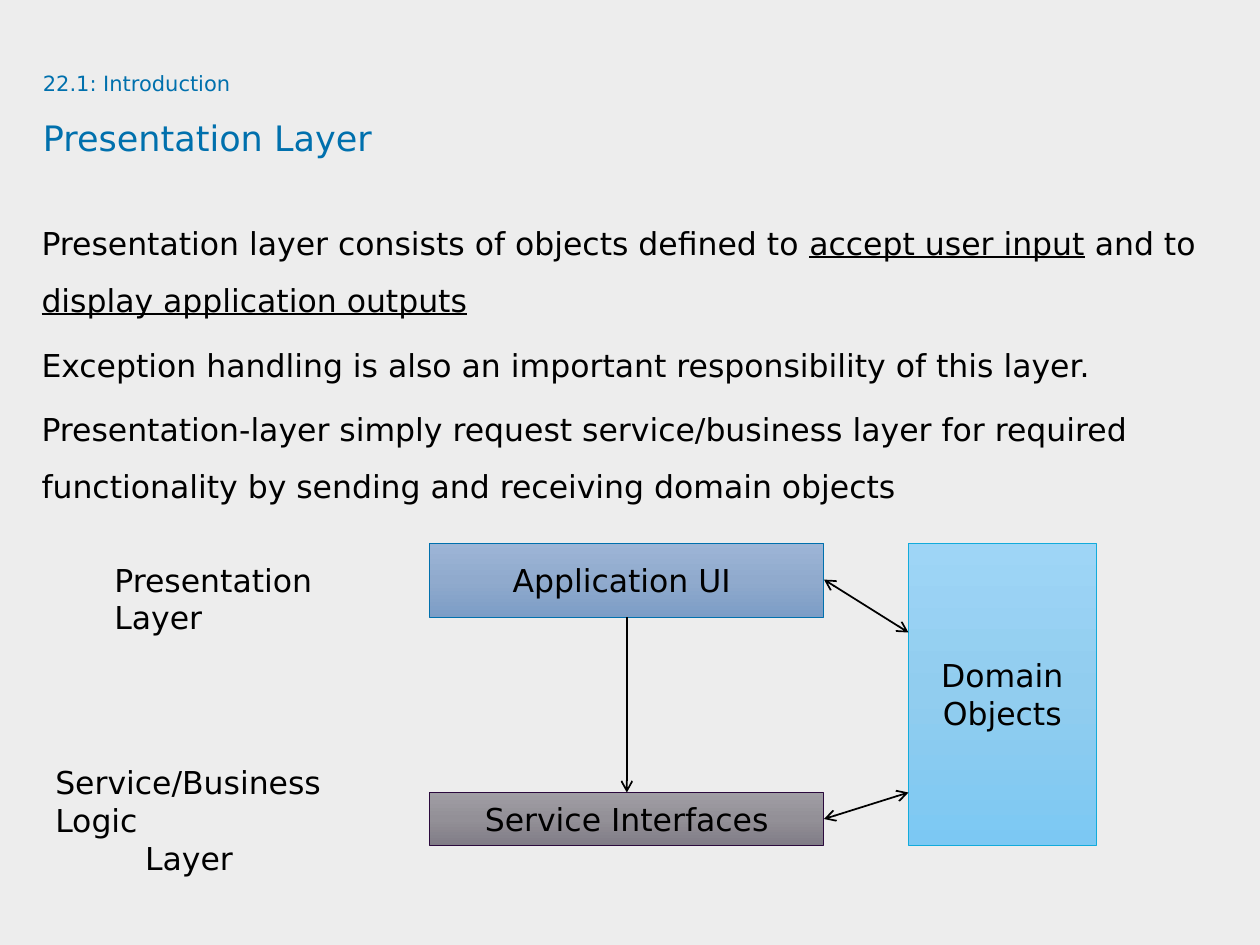
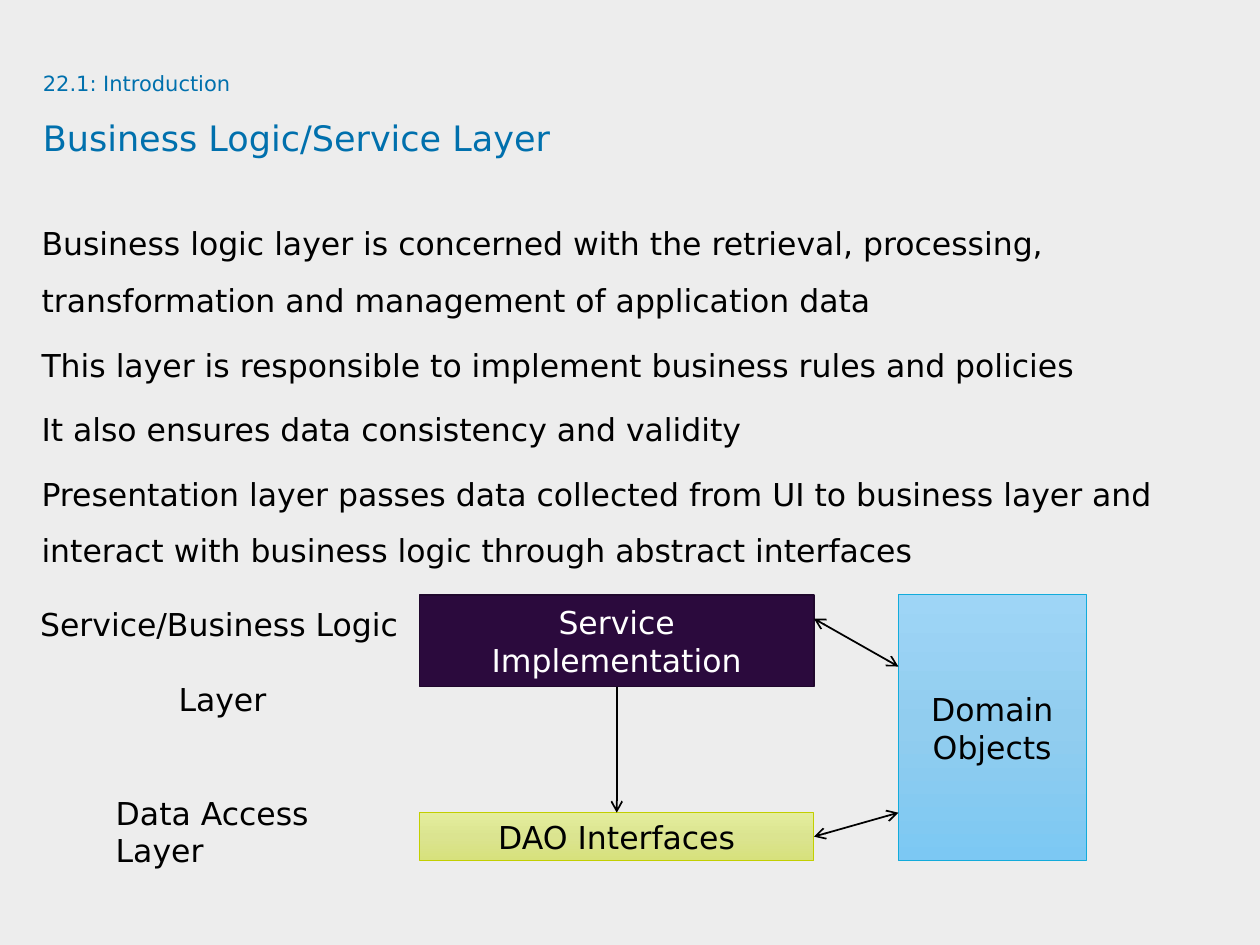
from copy import deepcopy

from pptx import Presentation
from pptx.dml.color import RGBColor
from pptx.enum.shapes import MSO_CONNECTOR, MSO_SHAPE
from pptx.enum.text import MSO_ANCHOR, PP_ALIGN
from pptx.oxml.ns import qn
from pptx.oxml.xmlchemy import OxmlElement
from pptx.util import Inches, Pt

LEFT, CENTER = PP_ALIGN.LEFT, PP_ALIGN.CENTER
TOP, MIDDLE = MSO_ANCHOR.TOP, MSO_ANCHOR.MIDDLE
RECTANGLE, STRAIGHT = MSO_SHAPE.RECTANGLE, MSO_CONNECTOR.STRAIGHT

FONT = "DejaVu Sans"
BLACK = RGBColor(0x00, 0x00, 0x00)
WHITE = RGBColor(0xFF, 0xFF, 0xFF)
PAPER = RGBColor(0xED, 0xED, 0xED)
BLUE = RGBColor(0x00, 0x70, 0xAD)
PURPLE = RGBColor(0x2B, 0x0A, 0x3D)
DARK_PURPLE = RGBColor(0x20, 0x07, 0x2D)
CYAN = RGBColor(0x12, 0xAB, 0xDB)
LIME = RGBColor(0xC2, 0xCF, 0x00)
BLUE_FADE = [RGBColor(0x9D, 0xB5, 0xD6), RGBColor(0x90, 0xAA, 0xCD), RGBColor(0x7C, 0x9D, 0xC6)]
GREY_FADE = [RGBColor(0xA0, 0x9E, 0xA4), RGBColor(0x93, 0x90, 0x97), RGBColor(0x80, 0x7C, 0x86)]
SKY_FADE = [RGBColor(0x9E, 0xD5, 0xF6), RGBColor(0x91, 0xCD, 0xEF), RGBColor(0x7C, 0xC8, 0xF3)]
LIME_FADE = [RGBColor(0xE4, 0xED, 0x9D), RGBColor(0xDB, 0xE4, 0x90), RGBColor(0xD7, 0xE1, 0x7C)]

SECTION = "22.1: Introduction "
LAYER_WIDTH, DOMAIN_WIDTH, GAP = 3.13, 1.49, 0.67

SLIDES = [
    {
        "title": "Presentation Layer",
        "body": [
            [("Presentation layer consists of objects defined to ", False), ("accept user input", True),
             (" and to ", False), ("display application outputs", True)],
            [("Exception handling is also an important responsibility of this layer.", False)],
            [("Presentation-layer simply request service/business layer for required functionality "
              "by sending and receiving domain objects", False)],
        ],
        "labels": [
            {"box": (0.81, 4.4, 2.11, 0.4), "lines": ["Presentation Layer"], "gap": 0},
            {"box": (0.34, 6.01, 2.32, 0.71), "lines": ["Service/Business Logic", "Layer"], "gap": 0},
        ],
        "left": 3.41,
        "upper": {"text": "Application UI ", "top": 4.31, "height": 0.59, "fill": BLUE_FADE,
                  "line": BLUE, "weight": 0.5, "color": BLACK},
        "lower": {"text": "Service Interfaces", "top": 6.29, "height": 0.42, "fill": GREY_FADE,
                  "line": PURPLE, "weight": 0.5, "color": BLACK},
        "upper_link": (4.6, 5.02),
    },
    {
        "title": "Business Logic/Service Layer",
        "body": [
            [("Business logic layer is concerned with the retrieval, processing, transformation "
              "and management of application data", False)],
            [("This layer is responsible to implement business rules and policies", False)],
            [("It also ensures data consistency and validity", False)],
            [("Presentation layer passes data collected from UI to business layer and interact "
              "with business logic through abstract interfaces", False)],
        ],
        "labels": [
            {"box": (0.22, 4.75, 3.09, 0.71), "lines": ["Service/Business Logic", "Layer"], "gap": 21.5},
            {"box": (0.82, 6.25, 2.02, 0.4), "lines": ["Data Access Layer"], "gap": 0},
        ],
        "left": 3.33,
        "upper": {"text": "Service Implementation", "top": 4.72, "height": 0.73, "fill": [PURPLE],
                  "line": DARK_PURPLE, "weight": 1, "color": WHITE},
        "lower": {"text": "DAO Interfaces", "top": 6.45, "height": 0.38, "fill": LIME_FADE,
                  "line": LIME, "weight": 0.5, "color": BLACK},
        "upper_link": (4.91, 5.29),
    },
]


def add_run(paragraph, text, size=18, color=BLACK, underline=False):
    run = paragraph.add_run()
    run.text = text
    run.font.name = FONT
    run.font.size = Pt(size)
    run.font.color.rgb = color
    if underline:
        run.font.underline = True


def get_paragraph(frame, index):
    return frame.add_paragraph() if index else frame.paragraphs[0]


def add_text_frame(slide, box, inset=True):
    frame = slide.shapes.add_textbox(*map(Inches, box)).text_frame
    frame.word_wrap = True
    frame.vertical_anchor = TOP
    if not inset:
        frame.margin_left = frame.margin_right = frame.margin_top = frame.margin_bottom = 0
    return frame


def add_heading(slide, title):
    paragraph = add_text_frame(slide, (0.34, 0.46, 9.09, 0.94), inset=False).paragraphs[0]
    paragraph.line_spacing = 1.5
    add_run(paragraph, SECTION, 12, BLUE)
    paragraph.add_line_break()
    add_run(paragraph, title, 20, BLUE)


def add_body(slide, body):
    frame = add_text_frame(slide, (0.33, 1.63, 9.67, 5.08), inset=False)
    for index, runs in enumerate(body):
        paragraph = get_paragraph(frame, index)
        paragraph.line_spacing = 1.5
        paragraph.space_after = Pt(4.5)
        for text, underline in runs:
            add_run(paragraph, text, underline=underline)


def add_label(slide, label):
    frame = add_text_frame(slide, label["box"])
    for index, line in enumerate(label["lines"]):
        paragraph = get_paragraph(frame, index)
        paragraph.alignment = CENTER if index else LEFT
        paragraph.space_before = Pt(label["gap"] if index else 0)
        add_run(paragraph, line)


def fill_shape(shape, colors):
    if len(colors) == 1:
        shape.fill.solid()
        shape.fill.fore_color.rgb = colors[0]
        return
    shape.fill.gradient()
    shape.fill.gradient_angle = 270
    stop_list = shape._element.spPr.find(qn("a:gradFill")).find(qn("a:gsLst"))
    stop_list.insert(1, deepcopy(stop_list[0]))
    for index, (stop, color) in enumerate(zip(shape.fill.gradient_stops, colors)):
        stop.color.rgb = color
        stop.position = index / (len(colors) - 1)


def add_block(slide, box, lines, fill, line, weight, color):
    shape = slide.shapes.add_shape(RECTANGLE, *map(Inches, box))
    shape.shadow.inherit = False
    fill_shape(shape, fill)
    shape.line.color.rgb = line
    shape.line.width = Pt(weight)
    frame = shape.text_frame
    frame.word_wrap = True
    frame.vertical_anchor = MIDDLE
    for index, text in enumerate(lines):
        paragraph = get_paragraph(frame, index)
        paragraph.alignment = CENTER
        add_run(paragraph, text, color=color)


def add_arrow(slide, start, end, ends):
    connector = slide.shapes.add_connector(STRAIGHT, *map(Inches, start + end))
    connector.line.color.rgb = BLACK
    connector.line.width = Pt(1)
    line = connector.line._get_or_add_ln()
    for tag in ends:
        arrowhead = OxmlElement(tag)
        arrowhead.set("type", "arrow")
        line.append(arrowhead)
    connector._element.spPr.append(OxmlElement("a:effectLst"))


def add_diagram(slide, content):
    left, upper, lower = content["left"], content["upper"], content["lower"]
    right = left + LAYER_WIDTH
    domain_left = right + GAP
    center = left + LAYER_WIDTH / 2
    upper_bottom = upper["top"] + upper["height"]
    lower_bottom = lower["top"] + lower["height"]
    for layer in (upper, lower):
        add_block(slide, (left, layer["top"], LAYER_WIDTH, layer["height"]), [layer["text"]],
                  layer["fill"], layer["line"], layer["weight"], layer["color"])
    add_block(slide, (domain_left, upper["top"], DOMAIN_WIDTH, lower_bottom - upper["top"]),
              ["Domain", "Objects"], SKY_FADE, CYAN, 0.5, BLACK)
    add_arrow(slide, (center, upper_bottom), (center, lower["top"]), ["a:tailEnd"])
    lower_link = (lower["top"] + lower["height"] / 2, lower["top"])
    for start, end in (content["upper_link"], lower_link):
        add_arrow(slide, (right, start), (domain_left, end), ["a:headEnd", "a:tailEnd"])


def main():
    presentation = Presentation()
    presentation.slide_width = Inches(10)
    presentation.slide_height = Inches(7.5)
    for content in SLIDES:
        slide = presentation.slides.add_slide(presentation.slide_layouts[6])
        slide.background.fill.solid()
        slide.background.fill.fore_color.rgb = PAPER
        add_heading(slide, content["title"])
        add_body(slide, content["body"])
        for label in content["labels"]:
            add_label(slide, label)
        add_diagram(slide, content)
    presentation.save("out.pptx")


if __name__ == "__main__":
    main()
